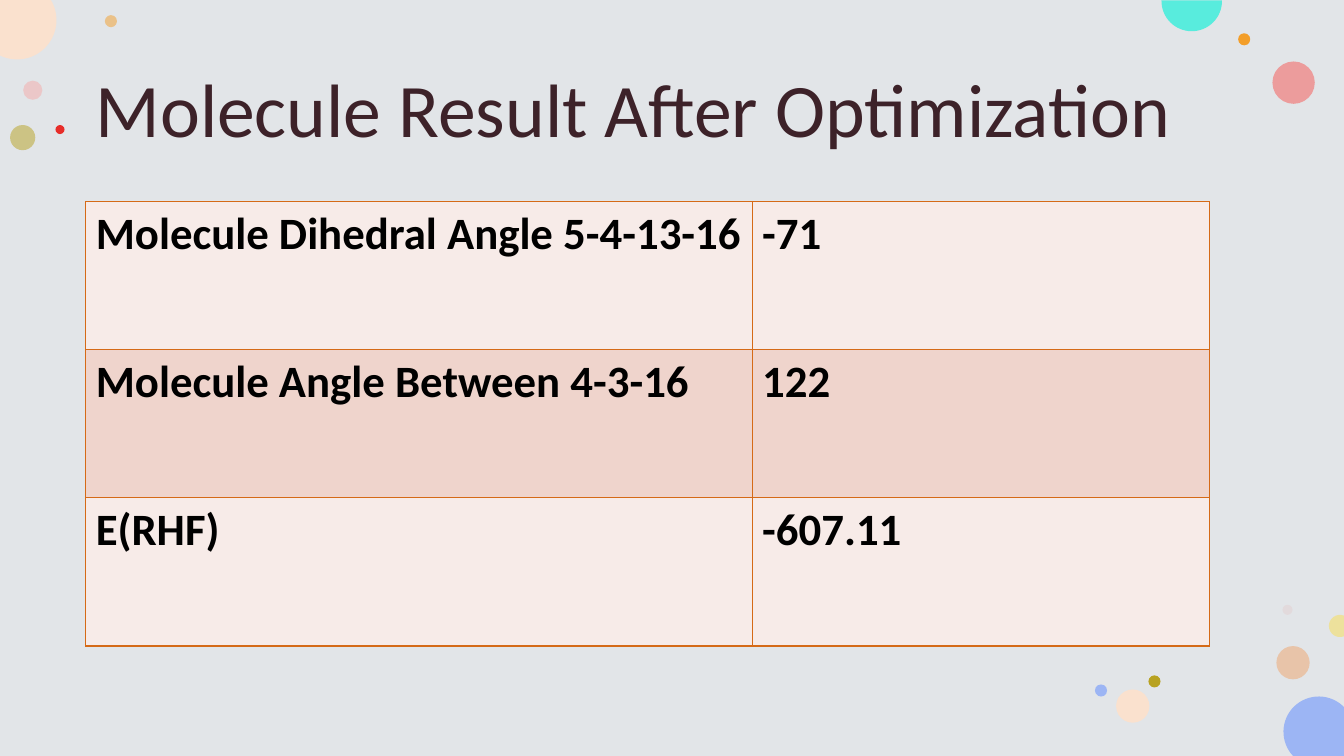
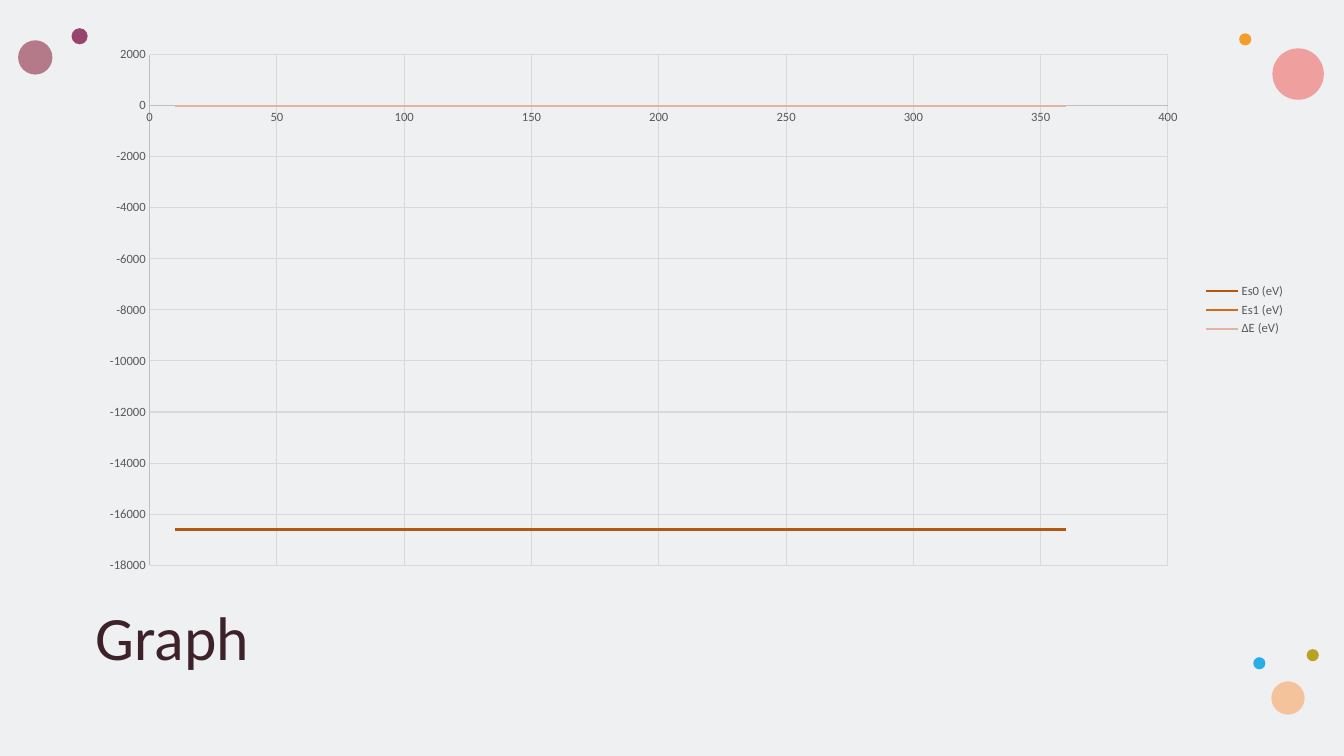
from math import cos, radians, sin, tan

from lxml.etree import SubElement
from pptx import Presentation
from pptx.chart.data import XyChartData
from pptx.dml.color import RGBColor
from pptx.enum.chart import XL_CHART_TYPE, XL_LEGEND_POSITION, XL_TICK_MARK
from pptx.enum.shapes import MSO_SHAPE
from pptx.enum.text import MSO_ANCHOR
from pptx.oxml.ns import qn
from pptx.util import Inches, Pt

FONT = "Calibri"
TITLE = "3D2229"
ORANGE = "D56A17"
GREY = "595959"
WIDTH, HEIGHT = 13.33, 7.5
CURVES = 4


def paint(fill, color, alpha=100):
    """Fill with a hex colour; alpha is the opacity in percent."""
    fill.solid()
    fill.fore_color.rgb = RGBColor.from_string(color)
    if alpha < 100:
        clr = fill._xPr.find(qn("a:solidFill"))[0]
        SubElement(clr, qn("a:alpha"), val=str(alpha * 1000))


def write(tf, text, size, color, bold=False, anchor=MSO_ANCHOR.TOP, spacing=1.0):
    tf.word_wrap = True
    tf.vertical_anchor = anchor
    p = tf.paragraphs[0]
    p.line_spacing = spacing
    r = p.add_run()
    r.text = text
    r.font.name = FONT
    r.font.size = Pt(size)
    r.font.bold = bold
    paint(r.font.fill, color)


# Dots: left, top, diameter, colour, opacity
result_dots = [
    (0.23, 0.8, 0.19, "F5ABA9", 50),
    (1.04, 0.15, 0.12, "F39E29", 50),
    (12.66, 6.41, 0.33, "EFA46B", 50),
    (0.1, 1.24, 0.25, "B8A221", 50),
    (12.62, 0.61, 0.42, "F1817F", 72),
    (12.28, 0.33, 0.12, "F39E29", 100),
    (12.72, 6, 0.1, "E3BEBE", 28),
    (11.39, 6.7, 0.12, "B8A221", 100),
    (11.07, 6.84, 0.33, "FAE1CE", 100),
    (10.86, 6.79, 0.12, "9CB5F4", 100),
    (0.55, 1.24, 0.09, "E72D29", 100),
]
graph_dots = [
    (0.71, 0.28, 0.16, "97446E", 100),
    (12.62, 0.48, 0.51, "F1817F", 72),
    (12.29, 0.33, 0.12, "F39E29", 100),
    (0.18, 0.4, 0.34, "B57A89", 100),
    (12.96, 6.44, 0.12, "B8A221", 100),
    (12.61, 6.76, 0.33, "F4C39C", 100),
    (12.43, 6.52, 0.12, "29ADE7", 100),
]
# Dots cut by the slide's edge: centre, radius, colour, arc in degrees, corners
cut_dots = [
    (13.08, 7.26, 0.35, "9CB5F4", 136.7, 315.6, [(WIDTH, HEIGHT)]),
    (0.17, 0.2, 0.39, "FAE1CE", -30.9, 115.8, [(0, 0)]),
    (11.82, 0.01, 0.3, "58ECDD", -1, 181, []),
    (13.29, 6.21, 0.11, "EDE19C", 70, 290, []),
]
# Title, its box, size and anchor, then background, its opacity and the dots
pages = [
    ("Molecule Result After Optimization", (0.85, 0.4, 11.66, 1.45), 54,
     MSO_ANCHOR.MIDDLE, "E2E5E8", 100, result_dots, cut_dots),
    ("Graph", (0.85, 5.98, 11.78, 0.86), 44,
     MSO_ANCHOR.TOP, "C8CED4", 30, graph_dots, []),
]

prs = Presentation()
prs.slide_width = Inches(WIDTH)
prs.slide_height = Inches(HEIGHT)

for title, box, size, anchor, background, opacity, dots, cuts in pages:
    s = prs.slides.add_slide(prs.slide_layouts[6])
    sp = s.shapes.add_shape(MSO_SHAPE.RECTANGLE, 0, 0, prs.slide_width, prs.slide_height)
    painted = [(sp, background, opacity)]
    for left, top, d, color, alpha in dots:
        sp = s.shapes.add_shape(MSO_SHAPE.OVAL, Inches(left), Inches(top),
                                Inches(d), Inches(d))
        painted.append((sp, color, alpha))

    for cx, cy, radius, color, start, end, corners in cuts:
        step = radians(end - start) / CURVES
        pull = 4 / 3 * tan(step / 4)
        points = []
        for i in range(CURVES):
            a = radians(start) + i * step
            b = a + step
            points += [
                (cx + radius * (cos(a) - pull * sin(a)), cy + radius * (sin(a) + pull * cos(a))),
                (cx + radius * (cos(b) + pull * sin(b)), cy + radius * (sin(b) - pull * cos(b))),
                (cx + radius * cos(b), cy + radius * sin(b)),
            ]
        a = radians(start)
        outline = s.shapes.build_freeform(Inches(cx + radius * cos(a)),
                                          Inches(cy + radius * sin(a)))
        outline.add_line_segments([(Inches(x), Inches(y)) for x, y in points + corners])
        sp = outline.convert_to_shape()
        # Every three arc points become one Bézier curve
        lines = list(sp._element.iter(qn("a:lnTo")))
        for i in range(0, len(points), 3):
            curve = lines[i].makeelement(qn("a:cubicBezTo"))
            lines[i].addprevious(curve)
            for line in lines[i:i + 3]:
                curve.append(line[0])
                line.getparent().remove(line)
        painted.append((sp, color, 100))

    for sp, color, alpha in painted:
        sp.shadow.inherit = False
        sp.line.fill.background()
        paint(sp.fill, color, alpha)
    tb = s.shapes.add_textbox(*[Inches(v) for v in box])
    write(tb.text_frame, title, size, TITLE, anchor=anchor, spacing=0.9)

result_slide, graph_slide = prs.slides

# Result table
results = [
    ("Molecule Dihedral Angle 5-4-13-16", "-71"),
    ("Molecule Angle Between 4-3-16", "122"),
    ("E(RHF)", "-607.11"),
]
table = result_slide.shapes.add_table(len(results), 2, Inches(0.85), Inches(2),
                                      Inches(11.15), Inches(4.41)).table
table.first_row = False
table.horz_banding = False
table.columns[0].width = Inches(6.61)
table.columns[1].width = Inches(4.54)
for i, values in enumerate(results):
    table.rows[i].height = Inches(1.47)
    for j, value in enumerate(values):
        cell = table.cell(i, j)
        write(cell.text_frame, value, 32, "000000", bold=True)
        tcPr = cell._tc.get_or_add_tcPr()
        for side in ("lnL", "lnR", "lnT", "lnB"):
            ln = SubElement(tcPr, qn(f"a:{side}"), w=str(Pt(1)))
            SubElement(SubElement(ln, qn("a:solidFill")), qn("a:srgbClr"), val=ORANGE)
        paint(cell.fill, "EFD4CC" if i % 2 else "F7EBE8")

# Energy chart
angles = [10, *range(20, 361, 20)]
energies = [
    ("Es0 (eV)", -16600, "B15813"),
    ("Es1 (eV)", -16600, ORANGE),
    ("∆E (eV)", 0, "E5B2A2"),
]
data = XyChartData()
for name, energy, color in energies:
    series = data.add_series(name)
    for angle in angles:
        series.add_data_point(angle, energy)
chart = graph_slide.shapes.add_chart(
    XL_CHART_TYPE.XY_SCATTER_SMOOTH_NO_MARKERS, Inches(0.85), Inches(0.36),
    Inches(12), Inches(5.43), data).chart
chart.has_title = False
chart.font.name = FONT
chart.font.size = Pt(9)
paint(chart.font.fill, GREY)
chart.has_legend = True
chart.legend.position = XL_LEGEND_POSITION.RIGHT
chart.legend.include_in_layout = False

for series, (name, energy, color) in zip(chart.plots[0].series, energies):
    series.format.line.width = Pt(1.5)
    paint(series.format.line.fill, color)
    for smooth in series._element.iter(qn("c:smooth")):
        smooth.set("val", "1")

for axis, low, high, step in ((chart.category_axis, 0, 400, 50),
                              (chart.value_axis, -18000, 2000, 2000)):
    axis.minimum_scale = low
    axis.maximum_scale = high
    axis.major_unit = step
    axis.major_tick_mark = XL_TICK_MARK.NONE
    axis.minor_tick_mark = XL_TICK_MARK.NONE
    axis.has_major_gridlines = True
    for line, color in ((axis.format.line, "BFBFBF"),
                        (axis.major_gridlines.format.line, "D9D9D9")):
        line.width = Pt(0.75)
        paint(line.fill, color)

prs.save("out.pptx")
